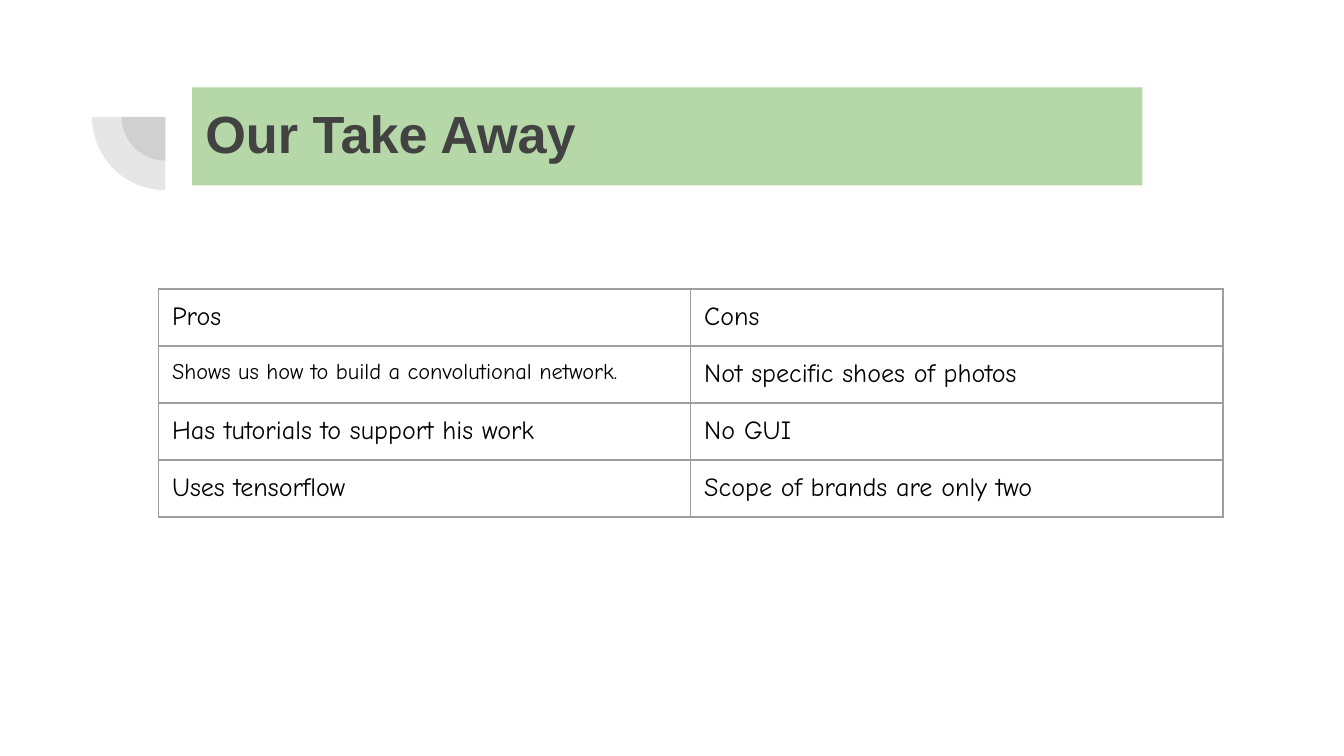
from lxml.etree import SubElement
from pptx import Presentation
from pptx.dml.color import RGBColor
from pptx.enum.shapes import MSO_SHAPE
from pptx.enum.text import MSO_ANCHOR, PP_ALIGN
from pptx.oxml.ns import qn
from pptx.util import Inches, Pt

TITLE = "Our Take Away"
ROWS = [
    ("Pros", "Cons"),
    ("Shows us how to build a convolutional network.", "Not specific shoes of photos"),
    ("Has tutorials to support his work", "No GUI"),
    ("Uses tensorflow", "Scope of brands are only two"),
]
SMALL_CELLS = {(1, 0)}
COLORS = {"dark": "424242", "banner": "B6D7A8", "border": "9E9E9E", "text": "000000"}
SLIDE_WIDTH = 10
SLIDE_SIZE = (SLIDE_WIDTH, SLIDE_WIDTH * 9 / 16)
BANNER = (1.43, 0.65, 7.07, 0.73)
PIE_CENTER = (1.23, 0.87)
PIE_DIAMETERS = (0.65, 1.09)
PIE_ALPHA = "13000"
TABLE_ORIGIN = (1.18, 2.15)
COLUMN_WIDTH, ROW_HEIGHT = 3.96, 0.42
INSET = 0.1


def color(name):
    return RGBColor.from_string(COLORS[name])


def add_filled_shape(slide, preset, box, fill):
    shape = slide.shapes.add_shape(preset, *map(Inches, box))
    shape.shadow.inherit = False
    shape.fill.solid()
    shape.fill.fore_color.rgb = color(fill)
    shape.line.fill.background()
    return shape


def add_pie(slide, diameter):
    center_x, center_y = PIE_CENTER
    box = (center_x - diameter / 2, center_y - diameter / 2, diameter, diameter)
    pie = add_filled_shape(slide, MSO_SHAPE.PIE, box, "dark")
    pie.rotation = 270
    pie.adjustments[0], pie.adjustments[1] = 108, 162
    fill_color = pie._element.spPr.find(qn("a:solidFill"))[0]
    SubElement(fill_color, qn("a:alpha"), val=PIE_ALPHA)


def set_insets(target):
    target.margin_left = target.margin_right = Inches(INSET)
    target.margin_top = target.margin_bottom = Inches(INSET)


def format_text(text_frame, font_name, size, font_color, bold=False):
    paragraph = text_frame.paragraphs[0]
    paragraph.alignment = PP_ALIGN.LEFT
    font = paragraph.runs[0].font
    font.name, font.size, font.bold = font_name, Pt(size), bold
    font.color.rgb = color(font_color)


def add_borders(cell):
    properties = cell._tc.get_or_add_tcPr()
    for index, side in enumerate(("lnL", "lnR", "lnT", "lnB")):
        line = SubElement(properties, qn(f"a:{side}"), w=str(Pt(0.75)))
        fill = SubElement(line, qn("a:solidFill"))
        SubElement(fill, qn("a:srgbClr"), val=COLORS["border"])
        properties.insert(index, line)


def add_banner(slide):
    banner = add_filled_shape(slide, MSO_SHAPE.RECTANGLE, BANNER, "banner")
    text_frame = banner.text_frame
    text_frame.text = TITLE
    text_frame.word_wrap = True
    text_frame.vertical_anchor = MSO_ANCHOR.TOP
    set_insets(text_frame)
    format_text(text_frame, "Arial", 28, "dark", bold=True)


def add_comparison(slide):
    row_count, column_count = len(ROWS), len(ROWS[0])
    size = (COLUMN_WIDTH * column_count, ROW_HEIGHT * row_count)
    frame = slide.shapes.add_table(
        row_count, column_count, *map(Inches, TABLE_ORIGIN + size)
    )
    table = frame.table
    table.first_row = table.horz_banding = False
    for row_index, row in enumerate(ROWS):
        for column_index, text in enumerate(row):
            cell = table.cell(row_index, column_index)
            cell.text_frame.text = text
            cell.fill.background()
            set_insets(cell)
            font_size = 12 if (row_index, column_index) in SMALL_CELLS else 14
            format_text(cell.text_frame, "Comic Neue", font_size, "text")
            add_borders(cell)


def main():
    presentation = Presentation()
    presentation.slide_width, presentation.slide_height = map(Inches, SLIDE_SIZE)
    slide = presentation.slides.add_slide(presentation.slide_layouts[6])
    for diameter in PIE_DIAMETERS:
        add_pie(slide, diameter)
    add_banner(slide)
    add_comparison(slide)
    presentation.save("out.pptx")


if __name__ == "__main__":
    main()
